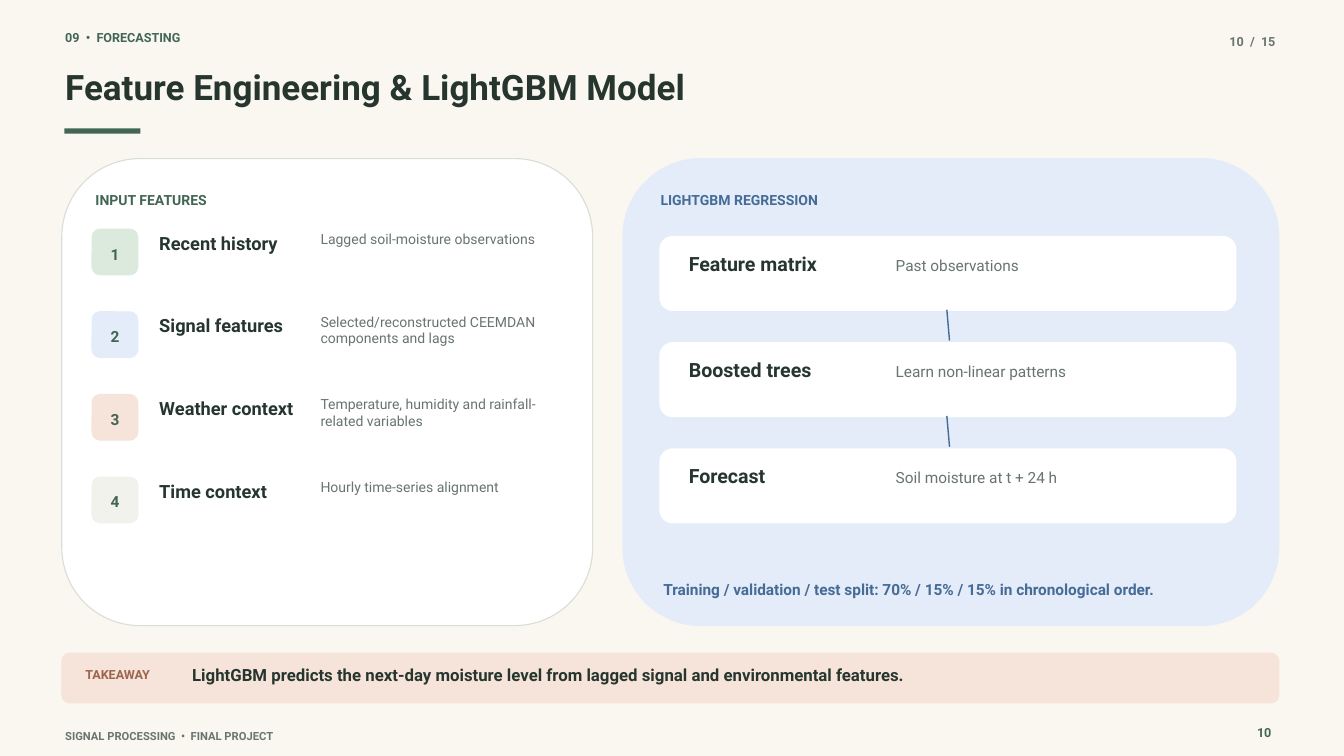
import pptx
import pptx.util
import pptx.dml.color
import pptx.enum.shapes
import pptx.enum.text
import pptx.oxml.ns
import lxml.etree

Inches = pptx.util.Inches
Pt = pptx.util.Pt
RGBColor = pptx.dml.color.RGBColor
SHAPE = pptx.enum.shapes.MSO_SHAPE
ALIGN = pptx.enum.text.PP_ALIGN

CREAM = RGBColor(0xFA, 0xF7, 0xF0)
WHITE = RGBColor(0xFF, 0xFF, 0xFF)
INK = RGBColor(0x26, 0x36, 0x2F)
GREEN = RGBColor(0x42, 0x66, 0x53)
GRAY = RGBColor(0x68, 0x75, 0x6E)
BLUE = RGBColor(0x45, 0x6B, 0x97)
RUST = RGBColor(0x9C, 0x65, 0x4E)
EDGE = RGBColor(0xD8, 0xDF, 0xD7)
MINT = RGBColor(0xDC, 0xE9, 0xDD)
SKY = RGBColor(0xE3, 0xEC, 0xF8)
PEACH = RGBColor(0xF6, 0xE3, 0xD9)
STONE = RGBColor(0xF0, 0xF2, 0xEB)

FONT = "Roboto"

INPUTS = [
    ("Recent history", "Lagged soil-moisture observations", MINT),
    ("Signal features", "Selected/reconstructed CEEMDAN components and lags", SKY),
    ("Weather context", "Temperature, humidity and rainfall-related variables", PEACH),
    ("Time context", "Hourly time-series alignment", STONE),
]
STEPS = [
    ("Feature matrix", "Past observations"),
    ("Boosted trees", "Learn non-linear patterns"),
    ("Forecast", "Soil moisture at t + 24 h"),
]


def write(shape, words, size, color, bold=True, align=ALIGN.LEFT):
    frame = shape.text_frame
    frame.text = words
    frame.word_wrap = True
    frame.auto_size = pptx.enum.text.MSO_AUTO_SIZE.NONE
    frame.vertical_anchor = pptx.enum.text.MSO_ANCHOR.TOP
    frame.margin_left = frame.margin_right = 0
    frame.margin_top = frame.margin_bottom = 0
    para = frame.paragraphs[0]
    para.alignment = align
    para.line_spacing = Pt(size * 1.2)
    font = para.runs[0].font
    font.name = FONT
    font.size = Pt(size)
    font.bold = bold
    font.color.rgb = color


def add_text(slide, box, words, size, color, bold=True, align=ALIGN.LEFT):
    shape = slide.shapes.add_textbox(*map(Inches, box))
    write(shape, words, size, color, bold, align)


def add_title(slide, box, words):
    title = slide.shapes.title
    title.left, title.top, title.width, title.height = map(Inches, box)
    write(title, words, 37.5, INK)


def add_bar(slide, box):
    bar = slide.shapes.add_shape(SHAPE.RECTANGLE, *map(Inches, box))
    bar.shadow.inherit = False
    bar.fill.solid()
    bar.fill.fore_color.rgb = GREEN
    bar.line.fill.background()


def add_card(slide, box, radius, fill, edge=None):
    card = slide.shapes.add_shape(SHAPE.ROUNDED_RECTANGLE, *map(Inches, box))
    card.adjustments[0] = radius / min(box[2:])
    card.shadow.inherit = False
    card.fill.solid()
    card.fill.fore_color.rgb = fill
    card.line.color.rgb = edge or fill
    card.line.width = Pt(1.2)


def add_link(slide, *ends):
    kind = pptx.enum.shapes.MSO_CONNECTOR.STRAIGHT
    link = slide.shapes.add_connector(kind, *map(Inches, ends))
    link.line.color.rgb = BLUE
    link.line.width = Pt(1.5)
    props = link._element.spPr
    lxml.etree.SubElement(props, pptx.oxml.ns.qn("a:effectLst"))


def add_input(slide, num, top, name, note, fill):
    add_card(slide, (1.37, top, 0.68, 0.68), 0.12, fill)
    add_text(slide, (1.42, top + 0.23, 0.58, 0.18), str(num), 16.5, GREEN,
             align=ALIGN.CENTER)
    add_text(slide, (2.37, top + 0.04, 2.47, 0.25), name, 19.5, INK)
    add_text(slide, (4.77, top + 0.02, 3.37, 0.6), note, 15, GRAY, False)


def add_step(slide, top, name, note):
    add_card(slide, (9.82, top, 8.57, 1.1), 0.19, WHITE)
    add_text(slide, (10.25, top + 0.23, 2.77, 0.29), name, 21, INK)
    add_text(slide, (13.33, top + 0.29, 4.5, 0.25), note, 16.5, GRAY, False)


def add_head(slide):
    add_text(slide, (0.97, 0.45, 8.18, 0.31), "09  •  FORECASTING", 13.5, GREEN)
    add_title(slide, (0.97, 0.97, 17.93, 0.79), "Feature Engineering & LightGBM Model")
    add_bar(slide, (0.96, 1.91, 1.13, 0.08))
    add_text(slide, (17.48, 0.51, 1.5, 0.26), "10  /  15", 13.5, GRAY,
             align=ALIGN.RIGHT)


def add_inputs(slide):
    add_card(slide, (0.92, 2.36, 7.9, 6.95), 1.16, WHITE, EDGE)
    add_text(slide, (1.42, 2.85, 3.22, 0.27), "INPUT FEATURES", 15, GREEN)
    for i, row in enumerate(INPUTS):
        add_input(slide, i + 1, 3.41 + 1.23 * i, *row)


def add_model(slide):
    add_card(slide, (9.27, 2.36, 9.76, 6.95), 1.16, SKY)
    add_text(slide, (9.83, 2.85, 4.72, 0.27), "LIGHTGBM REGRESSION", 15, BLUE)
    for i, row in enumerate(STEPS):
        top = 3.52 + 1.58 * i
        add_step(slide, top, *row)
        if i < len(STEPS) - 1:
            add_link(slide, 14.09, top + 1.09, 14.13, top + 1.55)
    add_text(slide, (9.87, 8.63, 8.25, 0.34),
             "Training / validation / test split: 70% / 15% / 15% in chronological order.",
             16.5, BLUE)


def add_foot(slide):
    add_card(slide, (0.92, 9.72, 18.11, 0.74), 0.12, PEACH)
    add_text(slide, (1.27, 9.92, 1.5, 0.2), "TAKEAWAY", 13.5, RUST)
    add_text(slide, (2.86, 9.89, 15.76, 0.34),
             "LightGBM predicts the next-day moisture level from lagged signal "
             "and environmental features.", 18, INK)
    add_text(slide, (0.97, 10.85, 12.68, 0.16),
             "SIGNAL PROCESSING  •  FINAL PROJECT", 12, GRAY)
    add_text(slide, (18.28, 10.79, 0.64, 0.23), "10", 13.5, GREEN,
             align=ALIGN.RIGHT)


def main():
    deck = pptx.Presentation()
    deck.slide_width = Inches(20)
    deck.slide_height = Inches(11.25)
    slide = deck.slides.add_slide(deck.slide_layouts[5])
    slide.background.fill.solid()
    slide.background.fill.fore_color.rgb = CREAM
    add_head(slide)
    add_inputs(slide)
    add_model(slide)
    add_foot(slide)
    deck.save("out.pptx")


if __name__ == "__main__":
    main()
